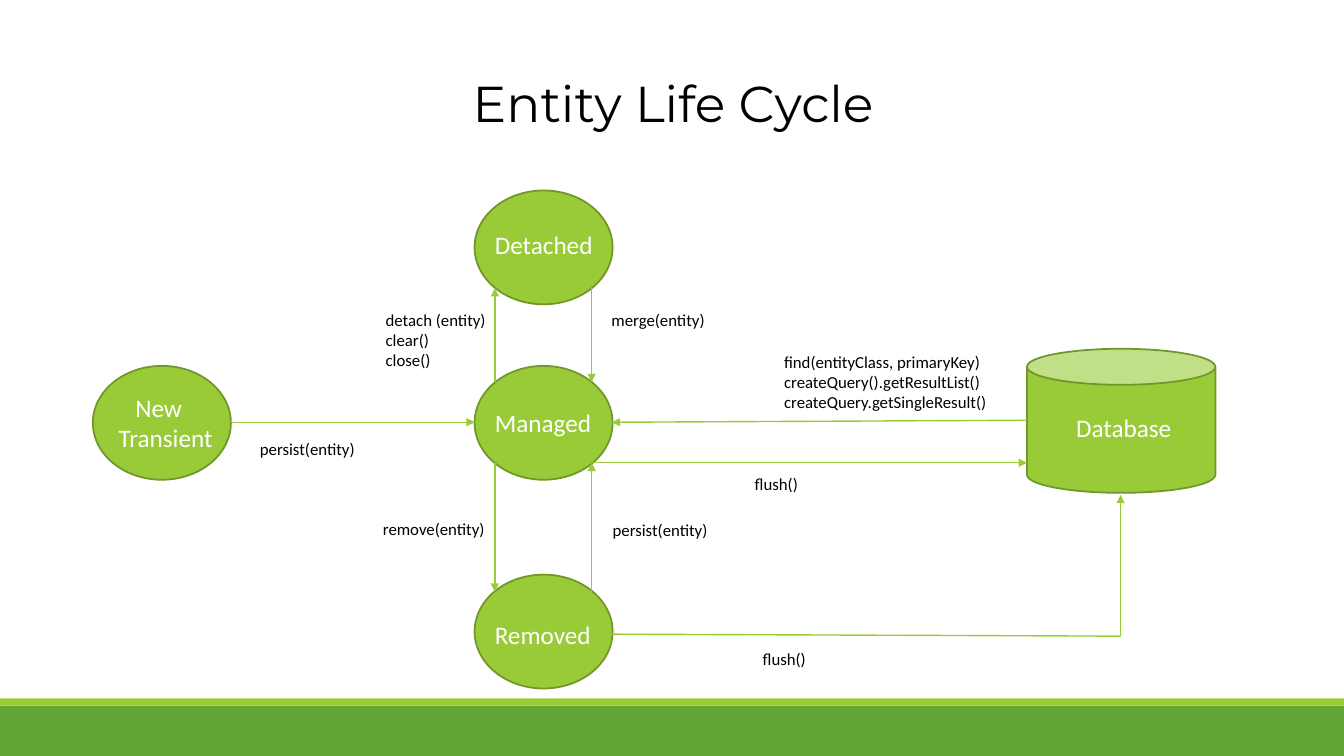
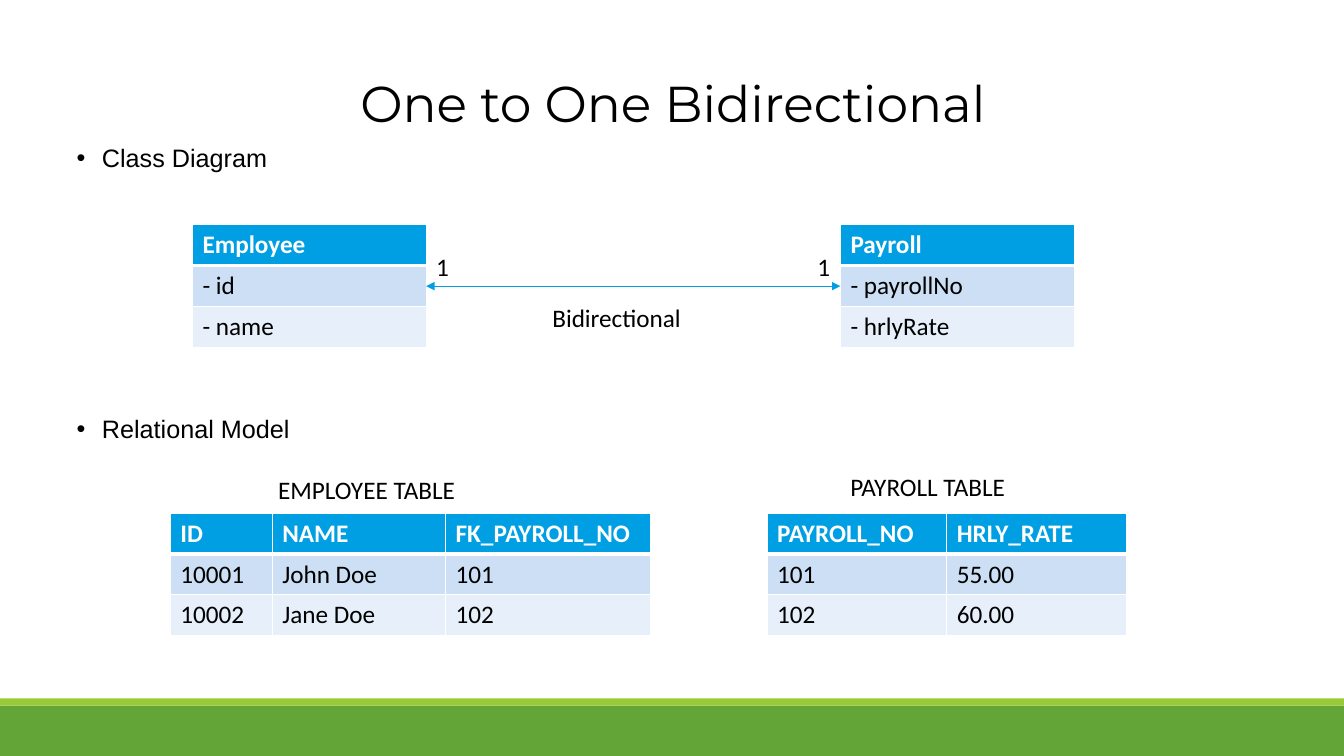
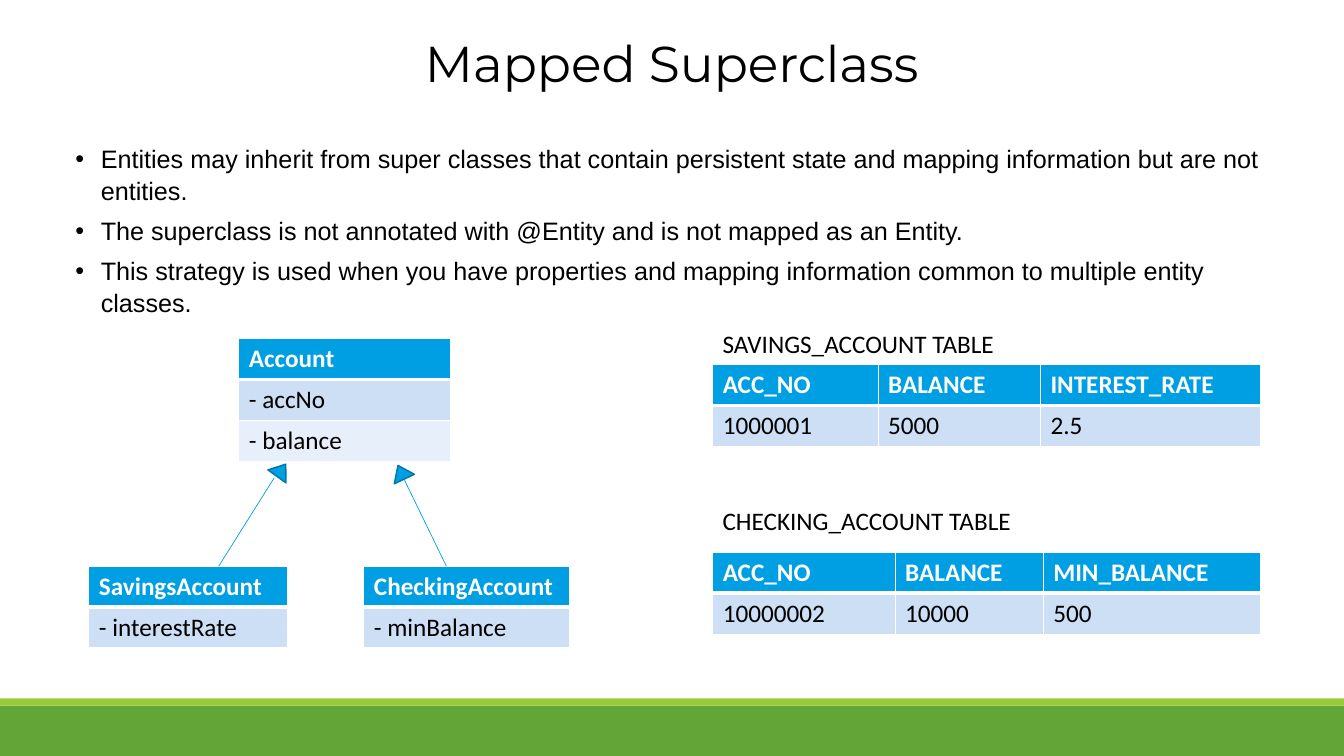
from typing import NamedTuple

from lxml.etree import SubElement
from pptx import Presentation
from pptx.dml.color import RGBColor
from pptx.enum.shapes import MSO_CONNECTOR, MSO_SHAPE
from pptx.enum.text import MSO_ANCHOR, PP_ALIGN
from pptx.oxml.ns import qn
from pptx.shapes.autoshape import Shape
from pptx.slide import Slide
from pptx.util import Cm, Pt

WHITE = RGBColor(0xFF, 0xFF, 0xFF)
BLACK = RGBColor(0x00, 0x00, 0x00)
GREEN = RGBColor(0x63, 0xA5, 0x37)
LIME = RGBColor(0x99, 0xCB, 0x38)
OLIVE = RGBColor(0x71, 0x96, 0x29)
BLUE = RGBColor(0x00, 0x9F, 0xE3)
DARK_BLUE = RGBColor(0x00, 0x76, 0xA8)
PALE_BLUE = RGBColor(0xCC, 0xDF, 0xF4)
LIGHT_BLUE = RGBColor(0xE7, 0xF0, 0xFA)

TITLE_FONT, BODY_FONT, LABEL_FONT = "Montserrat", "Arial", "Calibri"
SLIDE_WIDTH, SLIDE_HEIGHT = 33.87, 19.05
BODY_WIDTH = 30.56
ROW_HEIGHT = 1.03


class Box(NamedTuple):
    """A frame in centimetres."""
    left: float
    top: float
    width: float
    height: float


class Label(NamedTuple):
    lines: tuple[str, ...]
    left: float
    top: float
    width: float
    size: int = 18
    color: RGBColor = BLACK
    first_indent: float = 0


class Link(NamedTuple):
    """A straight line in centimetres, with optional arrowheads."""
    start: tuple[float, float]
    end: tuple[float, float]
    color: RGBColor
    weight: float
    heads: tuple[str, ...] = ()


class Grid(NamedTuple):
    left: float
    top: float
    columns: tuple[float, ...]
    rows: tuple[tuple[str, ...], ...]


def add_span(para, text: str, font: str, size: int, color: RGBColor, bold: bool = False) -> None:
    span = para.add_run()
    span.text = text
    span.font.name = font
    span.font.size = Pt(size)
    span.font.color.rgb = color
    span.font.bold = bold


def add_paragraphs(frame, count: int) -> list:
    return [frame.paragraphs[0]] + [frame.add_paragraph() for _ in range(count - 1)]


def add_frame(page: Slide, box: Box):
    frame = page.shapes.add_textbox(*map(Cm, box)).text_frame
    frame.word_wrap = True
    frame.vertical_anchor = MSO_ANCHOR.TOP
    return frame


def add_figure(page: Slide, kind: MSO_SHAPE, box: Box, fill: RGBColor,
               outline: RGBColor | None = None, weight: float = 1.25) -> Shape:
    figure = page.shapes.add_shape(kind, *map(Cm, box))
    figure.shadow.inherit = False
    figure.fill.solid()
    figure.fill.fore_color.rgb = fill
    if outline is None:
        figure.line.fill.background()
    else:
        figure.line.color.rgb = outline
        figure.line.width = Pt(weight)
    return figure


def add_label(page: Slide, label: Label) -> None:
    height = 0.25 + len(label.lines) * label.size * 0.043
    frame = add_frame(page, Box(label.left, label.top, label.width, height))
    paras = add_paragraphs(frame, len(label.lines))
    if label.first_indent:
        paras[0]._p.get_or_add_pPr().set("indent", str(Cm(label.first_indent)))
    for para, line in zip(paras, label.lines):
        add_span(para, line, LABEL_FONT, label.size, label.color)


def add_link(page: Slide, link: Link) -> None:
    ends = map(Cm, (*link.start, *link.end))
    connector = page.shapes.add_connector(MSO_CONNECTOR.STRAIGHT, *ends)
    connector.line.color.rgb = link.color
    connector.line.width = Pt(link.weight)
    outline = connector.line._get_or_add_ln()
    for head in link.heads:
        SubElement(outline, qn(f"a:{head}"), type="triangle")
    SubElement(connector._element.spPr, qn("a:effectLst"))


def add_borders(cell, top: float, bottom: float) -> None:
    properties = cell._tc.get_or_add_tcPr()
    for side, weight in (("lnL", 1), ("lnR", 1), ("lnT", top), ("lnB", bottom)):
        border = SubElement(properties, qn(f"a:{side}"), w=str(Pt(weight)))
        fill = SubElement(border, qn("a:solidFill"))
        SubElement(fill, qn("a:srgbClr"), val=str(WHITE))


def add_grid(page: Slide, grid: Grid) -> None:
    """Draw a table with a blue header and alternating rows."""
    box = Box(grid.left, grid.top, sum(grid.columns), ROW_HEIGHT * len(grid.rows))
    table = page.shapes.add_table(len(grid.rows), len(grid.columns), *map(Cm, box)).table
    table.horz_banding = False
    for column, width in zip(table.columns, grid.columns):
        column.width = Cm(width)
    for row_index, texts in enumerate(grid.rows):
        header = row_index == 0
        fill = BLUE if header else (LIGHT_BLUE, PALE_BLUE)[row_index % 2]
        table.rows[row_index].height = Cm(ROW_HEIGHT)
        for column_index, text in enumerate(texts):
            cell = table.cell(row_index, column_index)
            add_borders(cell, top=3 if row_index == 1 else 1, bottom=3 if header else 1)
            cell.fill.solid()
            cell.fill.fore_color.rgb = fill
            add_span(cell.text_frame.paragraphs[0], text, LABEL_FONT, 18,
                     WHITE if header else BLACK, bold=header)


def add_bullets(page: Slide, box: Box, texts: tuple[str, ...]) -> None:
    frame = add_frame(page, box)
    for para, text in zip(add_paragraphs(frame, len(texts)), texts):
        properties = para._p.get_or_add_pPr()
        properties.set("marL", str(Cm(0.64)))
        properties.set("indent", str(-Cm(0.64)))
        SubElement(properties, qn("a:buFont"), typeface=BODY_FONT)
        SubElement(properties, qn("a:buChar"), char="•")
        para.line_spacing = 1.05
        para.space_after = Pt(6)
        add_span(para, text, BODY_FONT, 18, BLACK)


def add_page(deck, title: str, left: float = 1.68, top: float = 1.7) -> Slide:
    """Add a blank slide with the shared bands and title."""
    page = deck.slides.add_slide(deck.slide_layouts[6])
    add_figure(page, MSO_SHAPE.RECTANGLE, Box(0, 17.78, SLIDE_WIDTH, 1.27), GREEN)
    add_figure(page, MSO_SHAPE.RECTANGLE, Box(0, 17.6, SLIDE_WIDTH, 0.18), LIME)
    para = add_frame(page, Box(left, top, BODY_WIDTH, 3.1)).paragraphs[0]
    para.alignment = PP_ALIGN.CENTER
    add_span(para, title, TITLE_FONT, 36, BLACK)
    return page


def build_life_cycle(deck) -> None:
    page = add_page(deck, "Entity Life Cycle")
    state_left, managed_top = 11.96, 9.22
    for left, top in ((state_left, 4.8), (state_left, 14.48),
                      (2.34, managed_top), (state_left, managed_top)):
        add_figure(page, MSO_SHAPE.FLOWCHART_CONNECTOR, Box(left, top, 3.48, 2.87), LIME, OLIVE)
    add_figure(page, MSO_SHAPE.CAN, Box(25.88, 8.79, 4.75, 3.63), LIME, OLIVE)

    near, far, database_left, database_middle = 12.47, 14.91, 25.88, 28.24
    arrows = (
        ((far, 7.26), (far, 9.63)),
        ((near, 11.66), (near, 14.91)),
        ((5.82, 10.64), (state_left, 10.64)),
        ((near, 9.63), (near, 7.26)),
        ((far, 14.91), (far, 11.66)),
        ((far, 11.66), (database_left, 11.66)),
        ((database_left, 10.59), (15.42, 10.64)),
        ((database_middle, 16.03), (database_middle, 12.47)),
    )
    for start, end in arrows:
        add_link(page, Link(start, end, LIME, 1, ("tailEnd",)))
    add_link(page, Link((15.42, 15.98), (database_middle, 16.03), LIME, 1))

    names = (
        Label(("Managed",), 12.22, 10.13, 3.2, color=WHITE),
        Label(("Detached",), 12.22, 5.66, 3.2, color=WHITE),
        Label(("Removed",), 12.22, 15.47, 3.2, color=WHITE),
        Label(("New", "Transient"), 2.74, 9.75, 3.2, color=WHITE, first_indent=0.42),
        Label(("Database",), 26.87, 10.26, 3.2, color=WHITE),
    )
    calls = (
        Label(("merge(entity)",), 15.16, 7.67, 3.78, 12),
        Label(("detach (entity)", "clear()", "close()"), 9.47, 7.67, 3.78, 12),
        Label(("persist(entity)",), 6.3, 10.92, 3.78, 12),
        Label(("persist(entity)",), 15.19, 12.97, 3.78, 12),
        Label(("remove(entity)",), 9.4, 12.95, 3.78, 12),
        Label(("flush()",), 18.77, 11.81, 3.78, 12),
        Label(("flush()",), 18.97, 16.23, 3.78, 12),
        Label(("find(entityClass, primaryKey)", "createQuery().getResultList()",
               "createQuery.getSingleResult()"), 19.51, 8.74, 5.84, 12),
    )
    for label in names + calls:
        add_label(page, label)


def build_one_to_one(deck) -> None:
    page = add_page(deck, "One to One Bidirectional")
    for top, heading in ((3.43, "Class Diagram"), (10.26, "Relational Model")):
        add_bullets(page, Box(1.68, top, BODY_WIDTH, 1.2), (heading,))
    grids = (
        Grid(4.85, 5.66, (5.89,), (("Employee",), ("- id",), ("- name",))),
        Grid(21.18, 5.66, (5.89,), (("Payroll",), ("- payrollNo",), ("- hrlyRate",))),
        Grid(4.29, 12.93, (2.57, 4.37, 5.16), (
            ("ID", "NAME", "FK_PAYROLL_NO"),
            ("10001", "John Doe", "101"),
            ("10002", "Jane Doe", "102"))),
        Grid(19.33, 12.93, (4.53, 4.53), (
            ("PAYROLL_NO", "HRLY_RATE"), ("101", "55.00"), ("102", "60.00"))),
    )
    for grid in grids:
        add_grid(page, grid)
    labels = (
        Label(("1",), 10.74, 6.2, 0.84),
        Label(("1",), 20.35, 6.2, 0.84),
        Label(("Bidirectional",), 13.67, 7.49, 5.36),
        Label(("EMPLOYEE TABLE",), 6.76, 11.84, 6.15),
        Label(("PAYROLL TABLE",), 21.18, 11.76, 6.15),
    )
    for label in labels:
        add_label(page, label)
    add_link(page, Link((10.74, 7.21), (21.18, 7.21), BLUE, 0.5, ("headEnd", "tailEnd")))


def build_mapped_superclass(deck) -> None:
    page = add_page(deck, "Mapped Superclass", left=1.65, top=0.69)
    add_bullets(page, Box(1.65, 3.45, BODY_WIDTH, 12.98), (
        "Entities may inherit from super classes that contain persistent state "
        "and mapping information but are not entities.",
        "The superclass is not annotated with @Entity and is not mapped as an Entity.",
        "This strategy is used when you have properties and mapping information "
        "common to multiple entity classes.",
    ))
    grids = (
        Grid(6.02, 8.53, (5.33,), (("Account",), ("- accNo",), ("- balance",))),
        Grid(9.17, 14.27, (5.18,), (("CheckingAccount",), ("- minBalance",))),
        Grid(2.24, 14.27, (5,), (("SavingsAccount",), ("- interestRate",))),
        Grid(17.96, 9.19, (4.17, 4.09, 5.54), (
            ("ACC_NO", "BALANCE", "INTEREST_RATE"), ("1000001", "5000", "2.5"))),
        Grid(17.96, 13.92, (4.6, 3.73, 5.49), (
            ("ACC_NO", "BALANCE", "MIN_BALANCE"), ("10000002", "10000", "500"))),
    )
    for grid in grids:
        add_grid(page, grid)
    inheritances = (
        ((5.51, 14.27), (6.91, 12.04), Box(6.81, 11.66, 0.56, 0.38), 35.6),
        ((11.25, 14.27), (10.19, 12.09), Box(9.83, 11.71, 0.56, 0.38), 334.7),
    )
    for start, end, box, angle in inheritances:
        add_link(page, Link(start, end, BLUE, 0.5))
        arrowhead = add_figure(page, MSO_SHAPE.ISOSCELES_TRIANGLE, box, BLUE, DARK_BLUE, 1)
        arrowhead.rotation = angle
    add_label(page, Label(("SAVINGS_ACCOUNT TABLE",), 17.96, 8.15, 9.98))
    add_label(page, Label(("CHECKING_ACCOUNT TABLE",), 17.96, 12.62, 9.98))


def main() -> None:
    deck = Presentation()
    deck.slide_width, deck.slide_height = Cm(SLIDE_WIDTH), Cm(SLIDE_HEIGHT)
    build_life_cycle(deck)
    build_one_to_one(deck)
    build_mapped_superclass(deck)
    deck.save("out.pptx")


if __name__ == "__main__":
    main()
